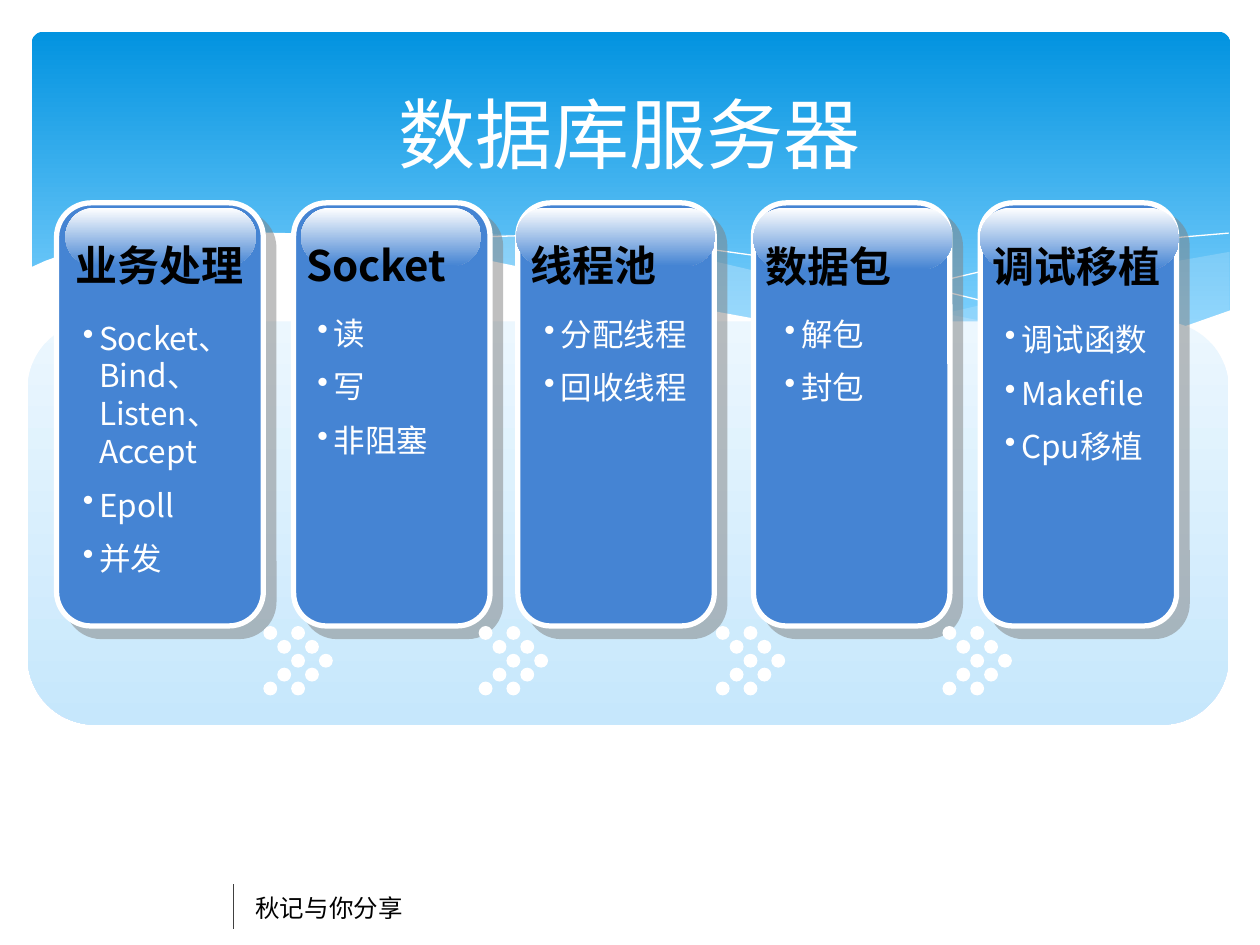
from dataclasses import dataclass

from lxml.etree import SubElement
from pptx import Presentation
from pptx.dml.color import RGBColor
from pptx.enum.shapes import MSO_CONNECTOR as Connector, MSO_SHAPE as Shape
from pptx.enum.text import MSO_ANCHOR as Anchor, MSO_AUTO_SIZE as AutoSize, PP_ALIGN as Align
from pptx.oxml.ns import qn
from pptx.util import Cm, Pt


@dataclass(frozen=True)
class Theme:
    white: str = "FFFFFF"
    black: str = "000000"
    rule: str = "404040"
    sky: tuple = ((0, "0293E0"), (0.9, "83D3FE"))
    panel: tuple = ((0, "ECF7FE"), (1, "C6E7FC"))
    gloss: tuple = ((0, "FFFFFF"), (1, "4584D3"))
    wave: str = "C6E7FC"
    card: str = "4584D3"
    shadow: str = "808080"
    title_font: str = "Cabin"
    body_font: str = "Noto Sans CJK SC"
    footer_font: str = "DejaVu Sans"
    title_size: int = 44
    heading_size: int = 24
    body_size: int = 18
    footer_size: int = 14


THEME = Theme()

BACK_WAVE = [
    (24.77, 5.08), (23.75, 5.26), (21.87, 5.66), (19.13, 6.3), (16.79, 6.73), (17.91, 6.88),
    (19.23, 7.01), (20.68, 7.06), (22.15, 6.96), (23.39, 6.73), (24.1, 6.53), (24.79, 6.27),
    (24.79, 5.08)]
MIDDLE_WAVE = [
    (22.68, 6.93), (21.26, 6.73), (19.69, 6.45), (17.93, 6.1), (15.98, 5.64), (14.45, 5.28),
    (13.06, 5.03), (11.81, 4.85), (10.67, 4.75), (9.17, 4.7), (8.33, 4.75), (7.26, 4.85),
    (8.69, 5.05), (10.26, 5.36), (11.4, 5.64), (13.46, 6.1), (15.27, 6.48), (16.89, 6.76),
    (18.34, 6.96), (19.63, 7.04), (21.03, 7.06), (22.02, 7.01)]
FALLING_CURVE = [
    (7.85, 4.95), (8.97, 4.8), (10.57, 4.75), (12.42, 4.83), (14.12, 5), (16.15, 5.28),
    (18.47, 5.74), (21.11, 6.38), (23.04, 6.91)]
RISING_CURVE = [
    (15.57, 6.53), (17.65, 5.97), (19.71, 5.49), (21.23, 5.18), (22.73, 4.93), (23.83, 4.78),
    (24.77, 4.7)]
FRONT_WAVE = [
    (24.82, 6.25), (23.88, 6.58), (22.83, 6.83), (21.59, 6.99), (20.55, 7.04), (18.9, 6.96),
    (17.48, 6.81), (15.9, 6.55), (14.1, 6.22), (12.07, 5.77), (10.62, 5.41), (9.27, 5.13),
    (7.42, 4.83), (5.84, 4.7), (4.5, 4.67), (3.35, 4.72), (2.41, 4.85), (1.5, 5.05),
    (0.91, 5.26), (0.58, 5.41), (0.58, 8.36), (24.82, 8.36)]

# Card left and width; then boxes relative to the card: gloss, heading, list
CARD_TOP, CARD_HEIGHT = 4.09, 8.53
CARDS = [
    (1.14, 4.17, (0.18, 0.1, 3.84, 1.17), (0.13, 0.61, 4.04, 1.27), (0.28, 2.21, 3.71, 5.64),
     "业务处理", ["Socket、Bind、Listen、Accept", "Epoll", "并发"]),
    (5.92, 3.96, (0.15, 0.1, 3.63, 1.17), (0, 0.61, 3.96, 1.27), (0.23, 2.11, 3.51, 3.33),
     "Socket", ["读", "写", "非阻塞"]),
    (10.44, 3.96, (-0.03, 0.1, 4.01, 1.17), (0, 0.61, 3.99, 1.27), (0.28, 2.13, 3.71, 3.33),
     "线程池", ["分配线程", "回收线程"]),
    (15.19, 3.96, (0, 0.1, 4.01, 1.24), (0, 0.64, 3.96, 1.27), (0.38, 2.13, 3.45, 2.18),
     "数据包", ["解包", "封包"]),
    (19.76, 3.96, (0, 0.1, 4.01, 1.24), (0, 0.64, 3.96, 1.27), (0.25, 2.24, 3.45, 3.33),
     "调试移植", ["调试函数", "Makefile", "Cpu移植"]),
]
CHEVRON_LEFTS = (5.31, 9.65, 14.43, 19)


def rgb(color):
    return RGBColor.from_string(color)


def paint(shape, fill):
    """Fill with one colour, or downwards through (position, colour) stops."""
    shape.shadow.inherit = False
    if isinstance(fill, str):
        shape.fill.solid()
        shape.fill.fore_color.rgb = rgb(fill)
        return
    shape.fill.gradient()
    shape.fill.gradient_angle = 270
    for stop, (position, color) in zip(shape.fill.gradient_stops, fill):
        stop.position = position
        stop.color.rgb = rgb(color)


def add_block(page, kind, box, fill, corner=None):
    shape = page.shapes.add_shape(kind, *map(Cm, box))
    paint(shape, fill)
    shape.line.fill.background()
    if corner is not None:
        shape.adjustments[0] = corner
    return shape


def add_alpha(color_element, percent):
    SubElement(color_element, qn("a:alpha"), val=str(percent * 1000))


def drop_shadow(shape):
    effects = shape.element.spPr.find(qn("a:effectLst"))
    outer = SubElement(effects, qn("a:outerShdw"), dist=str(Pt(8.5)), dir="2700000",
                       algn="ctr", rotWithShape="0")
    add_alpha(SubElement(outer, qn("a:srgbClr"), val=THEME.shadow), 50)


def style(para, name, size, color, bold=False):
    font = para.font
    font.name, font.size, font.bold = name, Pt(size), bold
    font.color.rgb = rgb(color)
    latin = para._p.pPr.find(qn("a:defRPr")).find(qn("a:latin"))
    latin.addnext(latin.makeelement(qn("a:ea"), {"typeface": name}))


def add_text(page, box, lines, font, size, color, bold=False, bullets=False, wrap=True):
    frame = page.shapes.add_textbox(*map(Cm, box)).text_frame
    frame.word_wrap = wrap
    frame.auto_size = AutoSize.SHAPE_TO_FIT_TEXT
    for index, line in enumerate(lines):
        para = frame.add_paragraph() if index else frame.paragraphs[0]
        para.text = line
        if bullets:
            if index:
                para.space_before = Pt(9)
            properties = para._p.get_or_add_pPr()
            properties.set("marL", str(Cm(0.33)))
            properties.set("indent", str(-Cm(0.33)))
            SubElement(properties, qn("a:buChar"), char="•")
        style(para, font, size, color, bold)


def add_wave(page, points, fill=None, opacity=None):
    """Draw a filled wave, or an open white hairline when there is no fill."""
    (start_x, start_y), *rest = [(Cm(x), Cm(y)) for x, y in points]
    builder = page.shapes.build_freeform(start_x, start_y)
    builder.add_line_segments(rest, close=fill is not None)
    wave = builder.convert_to_shape()
    wave.shadow.inherit = False
    if fill is None:
        wave.fill.background()
        wave.line.color.rgb = rgb(THEME.white)
        wave.line.width = Pt(0)
        return
    paint(wave, fill)
    wave.line.fill.background()
    if opacity:
        add_alpha(wave.element.spPr.find(qn("a:solidFill"))[0], opacity)


def add_backdrop(page, box):
    add_block(page, Shape.ROUNDED_RECTANGLE, box, THEME.sky, 0.034)
    add_wave(page, BACK_WAVE, THEME.wave, 29)
    add_wave(page, MIDDLE_WAVE, THEME.wave, 40)
    add_wave(page, FALLING_CURVE)
    add_wave(page, RISING_CURVE)
    add_wave(page, FRONT_WAVE, THEME.white)


def add_footer(page, left, top):
    rule = page.shapes.add_connector(Connector.STRAIGHT, Cm(left), Cm(top), Cm(left), Cm(top + 0.9))
    rule.line.color.rgb = rgb(THEME.rule)
    rule.line.width = Pt(0.75)
    SubElement(rule.element.spPr, qn("a:effectLst"))
    add_text(page, (left + 0.2, top + 0.05, 3.5, 0.86), ["秋记与你分享"],
             THEME.footer_font, THEME.footer_size, THEME.black, wrap=False)


def place_title(page, box, text):
    title = page.shapes.title
    title.left, title.top, title.width, title.height = map(Cm, box)
    title.element.getparent().append(title.element)  # in front of the backdrop
    frame = title.text_frame
    frame.text = text
    frame.vertical_anchor = Anchor.MIDDLE
    para = frame.paragraphs[0]
    para.alignment = Align.CENTER
    style(para, THEME.title_font, THEME.title_size, THEME.white)


def add_card(page, box, gloss, heading_box, list_box, heading, items):
    def inside(part):
        return (box[0] + part[0], box[1] + part[1], *part[2:])

    card = add_block(page, Shape.ROUNDED_RECTANGLE, box, THEME.card, 0.167)
    card.line.color.rgb = rgb(THEME.white)
    card.line.width = Pt(3)
    drop_shadow(card)
    add_block(page, Shape.ROUNDED_RECTANGLE, inside(gloss), THEME.gloss, 0.5)
    add_text(page, inside(heading_box), [heading], THEME.body_font, THEME.heading_size,
             THEME.black, bold=True)
    add_text(page, inside(list_box), items, THEME.body_font, THEME.body_size,
             THEME.white, bullets=True)


def add_chevron(page, left, top, dot=0.28):
    """Two nested arrowheads of five dots each."""
    for start in (0, 2):
        for row in range(5):
            column = start + 2 - abs(row - 2)
            add_block(page, Shape.OVAL, (left + column * dot, top + row * dot, dot, dot),
                      THEME.white)


def main():
    deck = Presentation()
    deck.slide_width, deck.slide_height = Cm(25.4), Cm(19.05)
    page = deck.slides.add_slide(deck.slide_layouts[5])
    add_backdrop(page, (0.64, 0.64, 24.16, 6.86))
    add_footer(page, 4.7, 17.83)
    place_title(page, (1.27, 0.94, 22.86, 3.48), "数据库服务器")
    add_block(page, Shape.ROUNDED_RECTANGLE, (0.56, 6.48, 24.21, 8.13), THEME.panel, 0.167)
    for left, width, *parts in CARDS:
        add_card(page, (left, CARD_TOP, width, CARD_HEIGHT), *parts)
    for left in CHEVRON_LEFTS:
        add_chevron(page, left, CARD_TOP + CARD_HEIGHT)
    deck.save("out.pptx")


if __name__ == "__main__":
    main()
